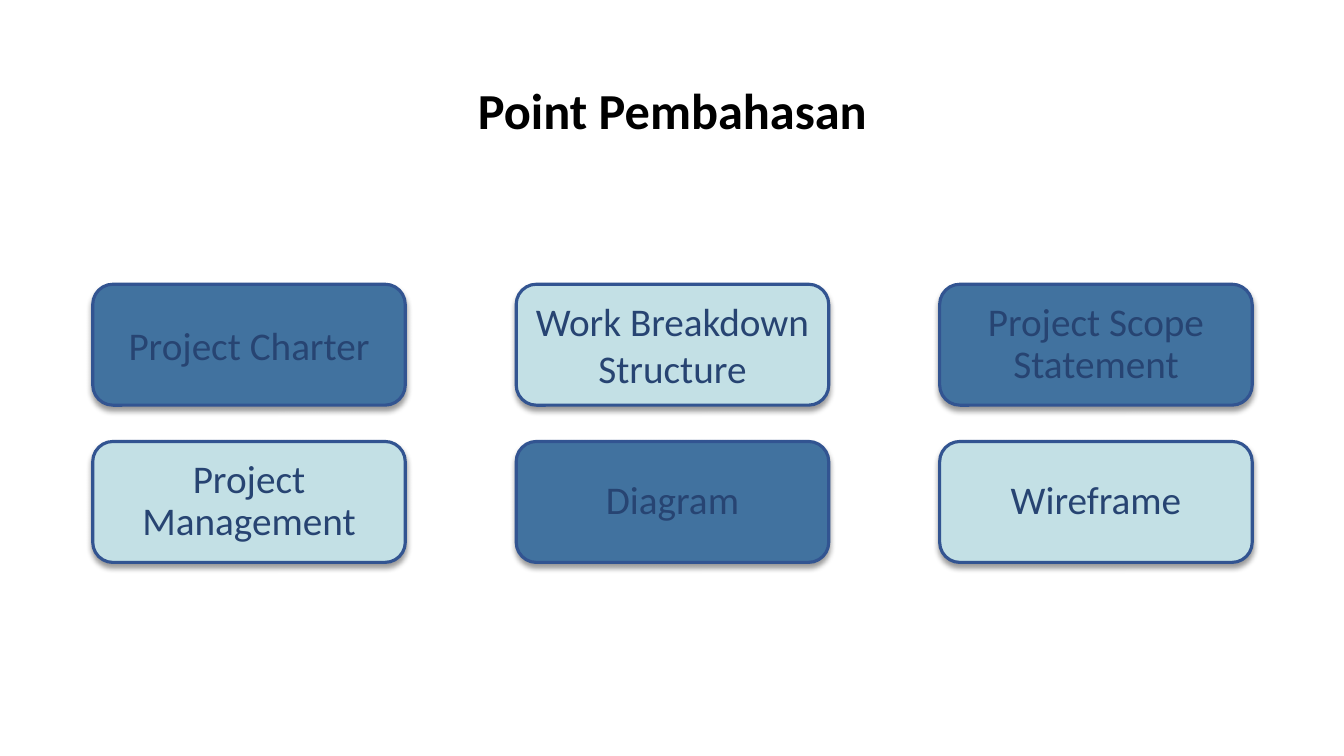
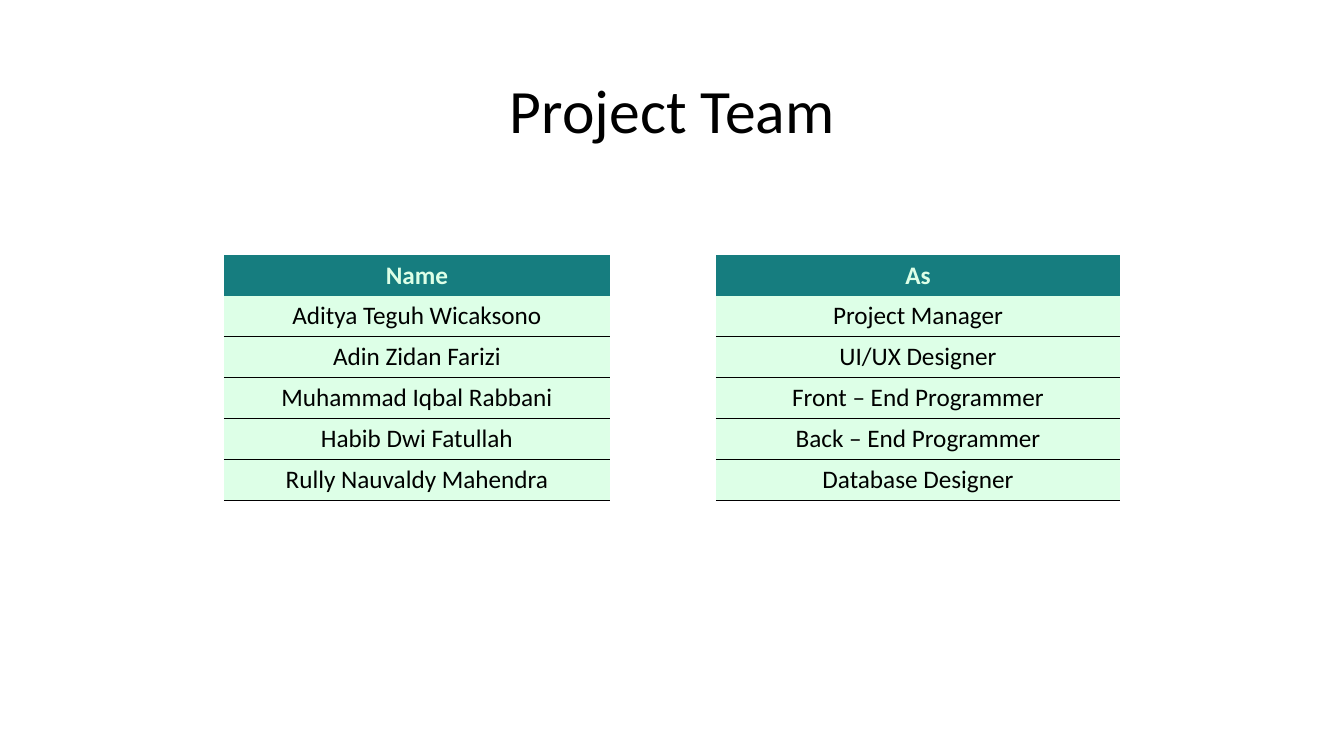
"""Build a topic overview slide and a project team slide."""
from dataclasses import dataclass

from lxml import etree
from pptx import Presentation
from pptx import util as u
from pptx.dml.color import RGBColor
from pptx.enum import shapes, text
from pptx.oxml import parse_xml
from pptx.oxml.ns import nsdecls, qn


@dataclass(frozen=True)
class Theme:
    font: str = "Calibri"
    black: str = "000000"
    blue: str = "41729F"
    pale_blue: str = "C3E0E5"
    navy: str = "274472"
    outline: str = "325491"
    teal: str = "167D7F"
    mint: str = "DDFFE7"
    title_size: int = 44
    topic_title_size: int = 36
    topic_size: int = 28
    table_size: int = 18


theme = Theme()
COLUMN_LEFT, COLUMN_PITCH = 0.92, 4.2
ROW_TOP, ROW_PITCH = 2.82, 1.56
CARD_WIDTH, CARD_HEIGHT = 3.1, 1.2
TABLE_LEFT, TABLE_TOP, TABLE_ROW = 2.22, 2.53, 0.405
TABLE_COLUMNS = (3.83, 1.05, 4.01)
NO_GRID_STYLE = "{2D5ABB26-0587-4C30-8999-92F81FD0307C}"


def write_text(frame, words, color, size, bold=False, **paragraph_format):
    frame.text = words
    paragraph = frame.paragraphs[0]
    paragraph.font.color.rgb = RGBColor.from_string(color)
    font_format = {"name": theme.font, "size": u.Pt(size), "bold": bold}
    paragraph_format = {"alignment": text.PP_ALIGN.CENTER, **paragraph_format}
    for target, values in ((paragraph.font, font_format), (paragraph, paragraph_format)):
        for name, value in values.items():
            setattr(target, name, value)


def add_titled_slide(words, size, bold):
    slide = presentation.slides.add_slide(presentation.slide_layouts[5])
    title = slide.shapes.title
    place = {"left": COLUMN_LEFT, "top": 0.4, "width": 11.5, "height": 1.45}
    for name, value in place.items():
        setattr(title, name, u.Inches(value))
    title.text_frame.auto_size = text.MSO_AUTO_SIZE.NONE
    title.text_frame.vertical_anchor = text.MSO_ANCHOR.MIDDLE
    write_text(title.text_frame, words, theme.black, size, bold, line_spacing=0.9)
    return slide


presentation = Presentation()
presentation.slide_width = u.Inches(13.33)
presentation.slide_height = u.Inches(7.5)

slide = add_titled_slide("Point Pembahasan", theme.topic_title_size, True)
compact = {"line_spacing": 0.9, "space_before": u.Pt(10)}
topics = [
    [("Project Charter", {}), ("Work Breakdown Structure", {}), ("Project Scope Statement", compact)],
    [("Project Management", compact), ("Diagram", compact), ("Wireframe", compact)],
]
for row, row_topics in enumerate(topics):
    for column, (topic, spacing) in enumerate(row_topics):
        card = slide.shapes.add_shape(
            shapes.MSO_SHAPE.ROUNDED_RECTANGLE,
            u.Inches(COLUMN_LEFT + column * COLUMN_PITCH),
            u.Inches(ROW_TOP + row * ROW_PITCH),
            u.Inches(CARD_WIDTH),
            u.Inches(CARD_HEIGHT),
        )
        card.fill.solid()
        fill = theme.pale_blue if (row + column) % 2 else theme.blue
        card.fill.fore_color.rgb = RGBColor.from_string(fill)
        card.line.color.rgb = RGBColor.from_string(theme.outline)
        card.line.width = u.Pt(2.25)
        card.shadow.inherit = False
        effects = card.element.spPr.find(qn("a:effectLst"))
        effects.append(parse_xml(
            f'<a:outerShdw {nsdecls("a")} blurRad="{u.Pt(4)}" dist="{u.Pt(3)}"'
            f' dir="5400000" rotWithShape="0"><a:srgbClr val="{theme.black}">'
            '<a:alpha val="40000"/></a:srgbClr></a:outerShdw>'
        ))
        card.text_frame.word_wrap = True
        card.text_frame.vertical_anchor = text.MSO_ANCHOR.MIDDLE
        write_text(card.text_frame, topic, theme.navy, theme.topic_size, **spacing)

slide = add_titled_slide("Project Team", theme.title_size, False)
team = [
    ("Name", "As"),
    ("Aditya Teguh Wicaksono", "Project Manager"),
    ("Adin Zidan Farizi", "UI/UX Designer"),
    ("Muhammad Iqbal Rabbani", "Front – End Programmer"),
    ("Habib Dwi Fatullah", "Back – End Programmer"),
    ("Rully Nauvaldy Mahendra", "Database Designer"),
]
graphic_frame = slide.shapes.add_table(
    len(team), len(TABLE_COLUMNS), u.Inches(TABLE_LEFT), u.Inches(TABLE_TOP),
    u.Inches(sum(TABLE_COLUMNS)), u.Inches(TABLE_ROW * len(team)),
)
next(graphic_frame.element.iter(qn("a:tableStyleId"))).text = NO_GRID_STYLE
table = graphic_frame.table
table.first_row = table.horz_banding = False
for column, width in zip(table.columns, TABLE_COLUMNS):
    column.width = u.Inches(width)

for row, member in enumerate(team):
    table.rows[row].height = u.Inches(TABLE_ROW)
    header = row == 0
    for column, words in zip((0, 2), member):
        cell = table.cell(row, column)
        cell.fill.solid()
        cell.fill.fore_color.rgb = RGBColor.from_string(theme.teal if header else theme.mint)
        cell.vertical_anchor = text.MSO_ANCHOR.TOP if header else text.MSO_ANCHOR.MIDDLE
        color = theme.mint if header else theme.black
        write_text(cell.text_frame, words, color, theme.table_size, header)
        edges = [] if header else ["lnB"] if row == 1 else ["lnT", "lnB"]
        properties = cell.fill.fore_color and table.cell(row, column)._tc.get_or_add_tcPr()
        for position, edge in enumerate(edges):
            border = etree.Element(qn(f"a:{edge}"), w=str(u.Pt(1)))
            solid = etree.SubElement(border, qn("a:solidFill"))
            etree.SubElement(solid, qn("a:srgbClr"), val=theme.black)
            properties.insert(position, border)

presentation.save("out.pptx")
